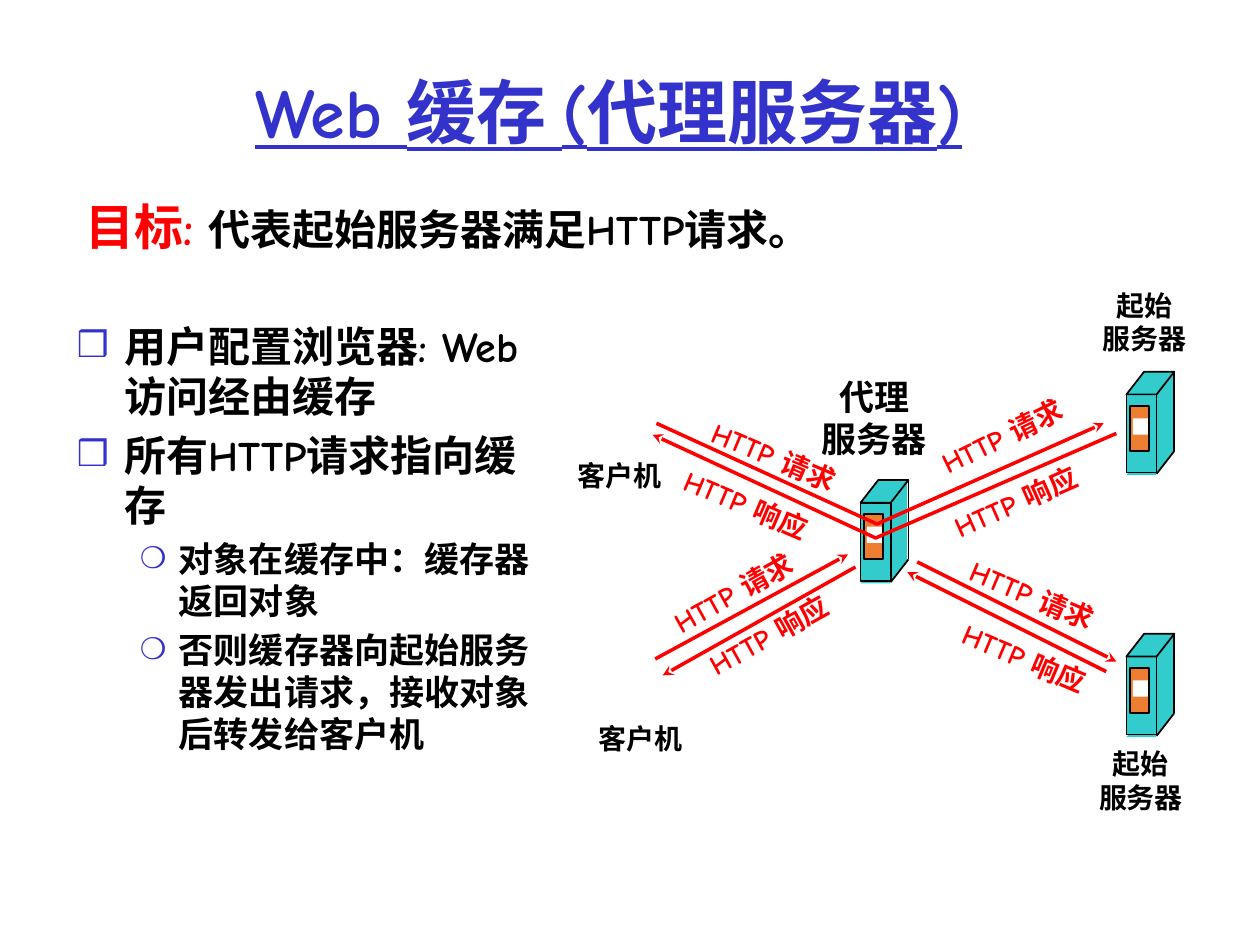
from lxml import etree
from pptx import Presentation
from pptx.dml.color import RGBColor
from pptx.enum.shapes import MSO_CONNECTOR, MSO_SHAPE
from pptx.enum.text import MSO_ANCHOR, MSO_AUTO_SIZE, PP_ALIGN
from pptx.oxml.ns import qn
from pptx.util import Pt

PX = 9144  # 100 px to the inch
FONT = "Comic Neue"
BLUE, RED, BLACK, WHITE = "3333CC", "FF0000", "000000", "FFFFFF"
TEAL, ORANGE = "33CCCC", "ED7D31"
STRAIGHT = MSO_CONNECTOR.STRAIGHT
RECTANGLE, PARALLELOGRAM = MSO_SHAPE.RECTANGLE, MSO_SHAPE.PARALLELOGRAM
CENTER, MIDDLE = PP_ALIGN.CENTER, MSO_ANCHOR.MIDDLE
NO_AUTOFIT = MSO_AUTO_SIZE.NONE


def write(paragraph, text, size=16, color=BLACK, underline=False):
    run = paragraph.add_run()
    run.text = text
    run.font.name = FONT
    run.font.size = Pt(size)
    run.font.bold = True
    run.font.underline = underline
    run.font.color.rgb = RGBColor.from_string(color)


def style_line(shape, color, width, arrow=False):
    shape.line.color.rgb = RGBColor.from_string(color)
    shape.line.width = Pt(width)
    properties = shape.line._get_or_add_ln()
    if arrow:
        etree.SubElement(properties, qn("a:tailEnd"), type="stealth")
    etree.SubElement(properties.getparent(), qn("a:effectLst"))


presentation = Presentation()
presentation.slide_width = 1000 * PX
presentation.slide_height = 750 * PX
slide = presentation.slides.add_slide(presentation.slide_layouts[3])
title, goal, points = slide.placeholders

# Title, goal and bullet list
for placeholder, box in (
    (title, (58, 25, 850, 125)),
    (goal, (58, 151, 788, 59)),
    (points, (51, 249, 388, 411)),
):
    placeholder.left, placeholder.top, placeholder.width, placeholder.height = [
        value * PX for value in box]
    placeholder.text_frame.auto_size = NO_AUTOFIT
    placeholder.text_frame.word_wrap = True

title.text_frame.vertical_anchor = MIDDLE
heading = title.text_frame.paragraphs[0]
heading.alignment = CENTER
write(heading, "Web 缓存 (代理服务器)", size=40, color=BLUE, underline=True)

goal_line = goal.text_frame.paragraphs[0]
goal_line.space_before = Pt(0)
goal_format = goal_line._p.get_or_add_pPr()
goal_format.set("marL", str(38 * PX))
goal_format.set("indent", str(-38 * PX))
etree.SubElement(goal_format, qn("a:buNone"))
write(goal_line, "目标:", size=28, color=RED)
write(goal_line, " 代表起始服务器满足HTTP请求。", size=24)

LEVELS = [("❒", 38, -38, 24), ("❍", 81, -31, 20)]  # bullet, margin, indent, size
for number, (level, text) in enumerate([
    (0, "用户配置浏览器: Web 访问经由缓存"),
    (0, "所有HTTP请求指向缓存"),
    (1, "对象在缓存中：缓存器返回对象"),
    (1, "否则缓存器向起始服务器发出请求，接收对象后转发给客户机"),
]):
    bullet, margin, indent, size = LEVELS[level]
    frame = points.text_frame
    paragraph = frame.add_paragraph() if number else frame.paragraphs[0]
    paragraph.level = level
    paragraph.space_before = Pt(size * 0.2 if number else 0)
    list_format = paragraph._p.get_or_add_pPr()
    list_format.set("marL", str(margin * PX))
    list_format.set("indent", str(indent * PX))
    bullet_color = etree.SubElement(list_format, qn("a:buClr"))
    etree.SubElement(bullet_color, qn("a:srgbClr"), val=BLUE)
    etree.SubElement(list_format, qn("a:buSzPct"), val="85000")
    etree.SubElement(list_format, qn("a:buChar"), char=bullet)
    write(paragraph, text, size=size)

# Proxy and origin servers, each a group drawn from its top left corner
SERVER_PARTS = [  # shape, left, top, width, height, fill, outlined, slant
    (PARALLELOGRAM, 0, 63, 38, 19, TEAL, False, 0.78),
    (RECTANGLE, 19, 1, 18, 63, TEAL, False, None),
    (RECTANGLE, 0, 18, 24, 62, TEAL, True, None),
    (PARALLELOGRAM, 0, 0, 38, 18, TEAL, True, 0.78),
    (RECTANGLE, 3, 27, 15, 36, ORANGE, True, None),
    (RECTANGLE, 5, 37, 12, 13, WHITE, False, None),
]
SERVER_EDGES = [(38, 1, 38, 63), (38, 63, 24, 81)]
for x, y in [(683, 381), (894, 295), (894, 503)]:
    server = slide.shapes.add_group_shape()
    for kind, left, top, width, height, fill, outlined, slant in SERVER_PARTS:
        part = server.shapes.add_shape(
            kind, (x + left) * PX, (y + top) * PX, width * PX, height * PX)
        part.shadow.inherit = False
        part.fill.solid()
        part.fill.fore_color.rgb = RGBColor.from_string(fill)
        if slant:
            part.adjustments[0] = slant
        if outlined:
            part.line.color.rgb = RGBColor.from_string(BLACK)
            part.line.width = Pt(1)
        else:
            part.line.fill.background()
    for x1, y1, x2, y2 in SERVER_EDGES:
        edge = server.shapes.add_connector(
            STRAIGHT, (x + x1) * PX, (y + y1) * PX, (x + x2) * PX, (y + y2) * PX)
        style_line(edge, BLACK, 1)

# Messages relayed through the proxy
for start, *bends in [
    [(521, 336), (696, 416), (876, 336)],
    [(886, 344), (695, 427), (518, 345)],
]:
    builder = slide.shapes.build_freeform(*start, scale=PX)
    builder.add_line_segments(bends, close=False)
    relay = builder.convert_to_shape()
    relay.fill.background()
    style_line(relay, RED, 2, arrow=True)

# Messages between the proxy and one neighbour
for ends in [
    (520, 523, 673, 440),
    (679, 450, 526, 536),
    (728, 446, 886, 525),
    (878, 533, 720, 454),
]:
    message = slide.shapes.add_connector(STRAIGHT, *[value * PX for value in ends])
    style_line(message, RED, 2, arrow=True)

# Labels: lines, left, top, width, height, rotation, size, color
REQUEST, RESPONSE = ["HTTP 请求"], ["HTTP 响应"]
CLIENT, ORIGIN, PROXY = ["客户机"], ["起始", "服务器"], ["代理", "服务器"]
for lines, left, top, width, height, rotation, size, color in [
    (CLIENT, 448, 359, 87, 37, 0, 16, BLACK),
    (CLIENT, 465, 568, 87, 37, 0, 16, BLACK),
    (PROXY, 642, 293, 104, 77, 0, 20, BLACK),
    (ORIGIN, 865, 224, 87, 64, 0, 16, BLACK),
    (ORIGIN, 862, 588, 87, 64, 0, 16, BLACK),
    (REQUEST, 547, 344, 134, 37, 23, 16, RED),
    (RESPONSE, 525, 382, 134, 37, 23, 16, RED),
    (REQUEST, 515, 452, 134, 37, 331, 16, RED),
    (RESPONSE, 543, 486, 134, 37, 331, 16, RED),
    (REQUEST, 713, 328, 165, 37, 334, 16, RED),
    (RESPONSE, 739, 380, 134, 37, 336, 16, RED),
    (REQUEST, 752, 454, 134, 37, 23, 16, RED),
    (RESPONSE, 746, 504, 134, 37, 23, 16, RED),
]:
    label = slide.shapes.add_textbox(left * PX, top * PX, width * PX, height * PX)
    label.rotation = rotation
    frame = label.text_frame
    frame.word_wrap = False
    for number, line in enumerate(lines):
        paragraph = frame.add_paragraph() if number else frame.paragraphs[0]
        paragraph.alignment = CENTER
        write(paragraph, line, size=size, color=color)

presentation.save("out.pptx")
